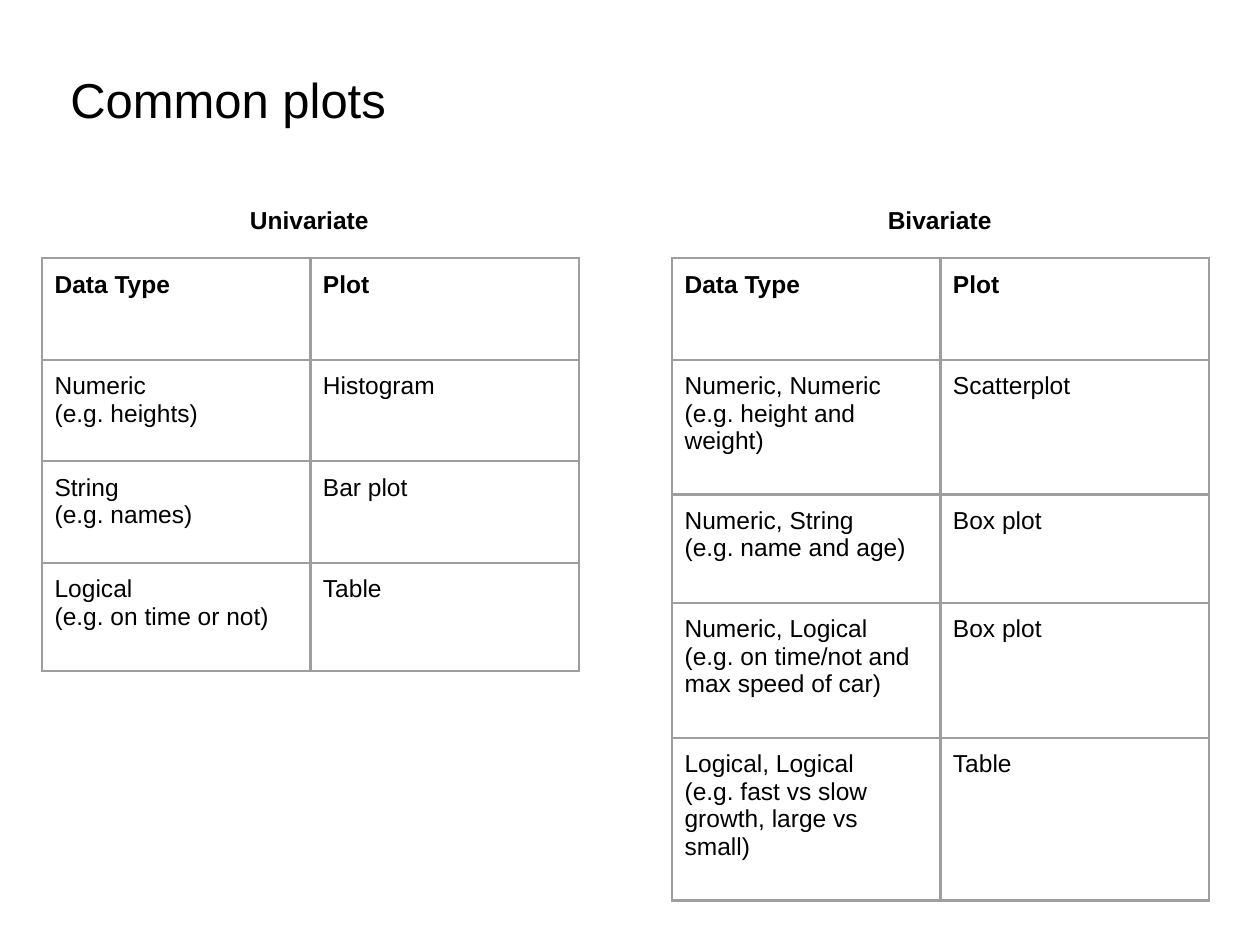
from lxml import etree
from pptx import Presentation
from pptx.dml.color import RGBColor
from pptx.enum import text
from pptx.oxml.ns import qn
from pptx.util import Pt

COLORS = {"text": "000000", "border": "9E9E9E"}
FONT = "Arial"
INSET = Pt(7.2)
TABLE_TOP, COLUMN_WIDTH = 147.6, 153.36
HEADER = ("Data Type", "Plot")

# Each row: height, data type with its example, plot
UNIVARIATE = [
    (58, "Numeric\n(e.g. heights)", "Histogram"),
    (58, "String\n(e.g. names)", "Bar plot"),
    (62, "Logical\n(e.g. on time or not)", "Table"),
]
BIVARIATE = [
    (77, "Numeric, Numeric\n(e.g. height and weight)", "Scatterplot"),
    (62, "Numeric, String\n(e.g. name and age)", "Box plot"),
    (77, "Numeric, Logical\n(e.g. on time/not and max speed of car)", "Box plot"),
    (93, "Logical, Logical\n(e.g. fast vs slow growth, large vs small)", "Table"),
]


def write_text(frame, content, size, bold=False, align=text.PP_ALIGN.LEFT):
    frame.text = content
    frame.word_wrap = True
    for paragraph in frame.paragraphs:
        paragraph.alignment = align
        for run in paragraph.runs:
            run.font.name = FONT
            run.font.size = Pt(size)
            run.font.bold = bold
            run.font.color.rgb = RGBColor.from_string(COLORS["text"])


def set_insets(frame):
    frame.margin_left = frame.margin_right = INSET
    frame.margin_top = frame.margin_bottom = INSET
    frame.vertical_anchor = text.MSO_ANCHOR.TOP


def add_title(slide, content):
    title = slide.shapes.title
    title.left, title.top, title.width, title.height = Pt(33), Pt(32.4), Pt(654), Pt(48)
    set_insets(title.text_frame)
    title.text_frame.auto_size = text.MSO_AUTO_SIZE.NONE
    write_text(title.text_frame, content, 28)


def add_heading(slide, content, left, width):
    heading = slide.shapes.add_textbox(Pt(left), Pt(110), Pt(width), Pt(31.5))
    set_insets(heading.text_frame)
    write_text(heading.text_frame, content, 14, True, text.PP_ALIGN.CENTER)
    heading.text_frame.word_wrap = False


def add_borders(cell):
    properties = cell._tc.get_or_add_tcPr()
    for side in ("a:lnL", "a:lnR", "a:lnT", "a:lnB"):
        line = etree.SubElement(properties, qn(side), w=str(Pt(1.5)))
        fill = etree.SubElement(line, qn("a:solidFill"))
        etree.SubElement(fill, qn("a:srgbClr"), val=COLORS["border"])


def add_plot_table(slide, left, body):
    rows = [(58, *HEADER), *body]
    height = sum(row[0] for row in rows)
    table = slide.shapes.add_table(
        len(rows), len(HEADER), Pt(left), Pt(TABLE_TOP),
        Pt(COLUMN_WIDTH * len(HEADER)), Pt(height)).table
    table.first_row = table.horz_banding = False
    for column in table.columns:
        column.width = Pt(COLUMN_WIDTH)
    for row_index, (row_height, *contents) in enumerate(rows):
        table.rows[row_index].height = Pt(row_height)
        for column_index, content in enumerate(contents):
            cell = table.cell(row_index, column_index)
            set_insets(cell)
            add_borders(cell)
            cell.fill.background()
            write_text(cell.text_frame, content, 14, bold=row_index == 0)


def main():
    presentation = Presentation()
    presentation.slide_width, presentation.slide_height = Pt(720), Pt(540)
    slide = presentation.slides.add_slide(presentation.slide_layouts[5])
    add_title(slide, "Common plots")
    add_plot_table(slide, 24, UNIVARIATE)
    add_plot_table(slide, 384, BIVARIATE)
    add_heading(slide, "Univariate", 132.5, 88.5)
    add_heading(slide, "Bivariate", 499.5, 75)
    presentation.save("out.pptx")


if __name__ == "__main__":
    main()
